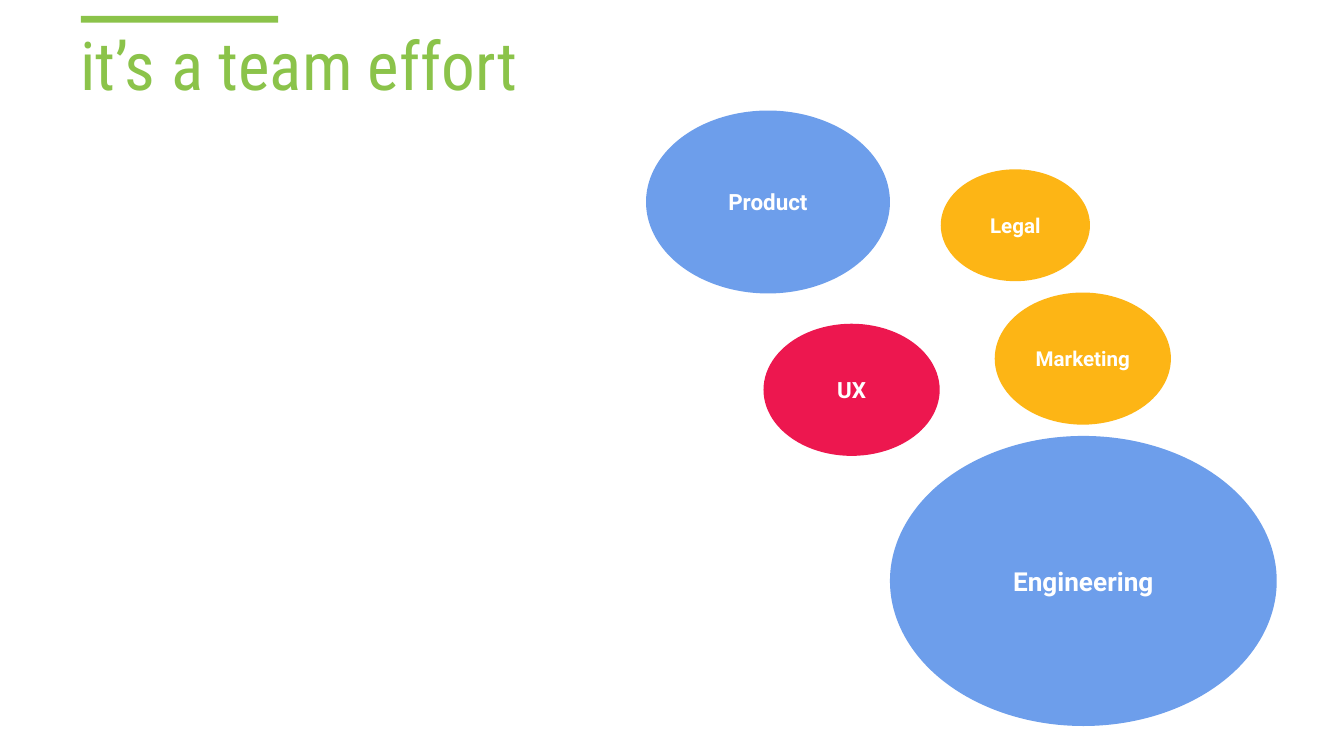
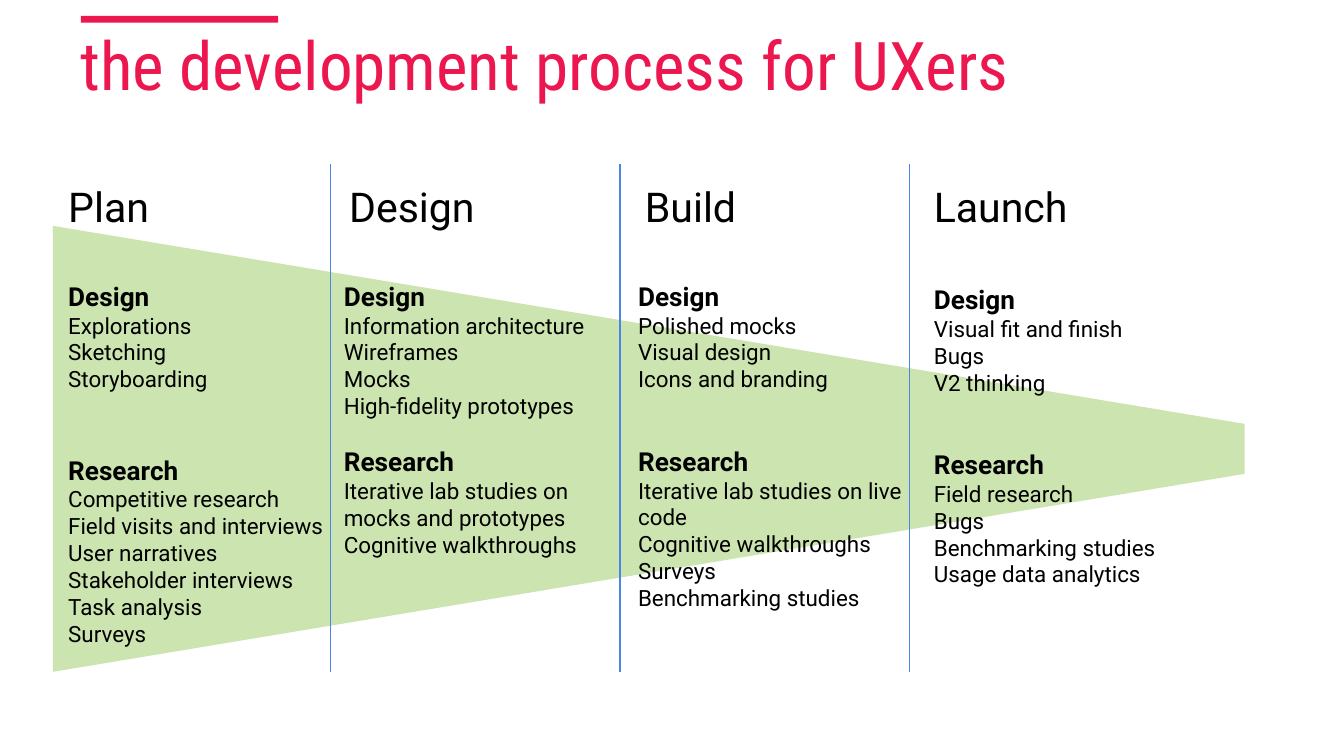
from dataclasses import dataclass

from lxml.etree import SubElement
from pptx import Presentation
from pptx.dml.color import RGBColor
from pptx.enum.shapes import MSO_CONNECTOR as Connector, MSO_SHAPE as Shape
from pptx.enum.text import MSO_ANCHOR as Anchor, PP_ALIGN as Align
from pptx.oxml.ns import qn
from pptx.util import Cm, Pt


@dataclass(frozen=True)
class Theme:
    green: str = "8BC34A"
    red: str = "ED174F"
    amber: str = "FDB515"
    blue: str = "6D9EEB"
    divider: str = "4A86E8"
    black: str = "000000"
    white: str = "FFFFFF"
    title_font: str = "Roboto Condensed"
    body_font: str = "Roboto"
    title_size: int = 36
    stage_size: int = 22
    topic_size: int = 14
    item_size: int = 12


THEME = Theme()

# Content: team, left, top and width in cm, colour, text size
TEAM_TITLE = "it’s a team effort"
TEAMS = [
    ("UX", 14.43, 6.12, 3.33, THEME.red, 12),
    ("Legal", 17.78, 3.2, 2.82, THEME.amber, 11),
    ("Product", 12.21, 2.09, 4.61, THEME.blue, 12),
    ("Engineering", 16.82, 8.24, 7.31, THEME.blue, 14),
    ("Marketing", 18.8, 5.53, 3.33, THEME.amber, 11),
]

# Content: lefts, top and width in cm, gap before Research in points
PROCESS_TITLE = "the development process for UXers"
STAGES = [
    dict(name="Plan", name_left=1.04, left=1.04, top=5.05, width=6.22, gap=33,
         design=["Explorations", "Sketching", "Storyboarding"],
         research=["Competitive research", "Field visits and interviews",
                   "User narratives", "Stakeholder interviews",
                   "Task analysis", "Surveys"]),
    dict(name="Design", name_left=6.35, left=6.25, top=5.05, width=5.69, gap=14.2,
         design=["Information architecture", "Wireframes", "Mocks",
                 "High-fidelity prototypes"],
         research=["Iterative lab studies on mocks and prototypes",
                   "Cognitive walkthroughs"]),
    dict(name="Build", name_left=11.94, left=11.81, top=5.05, width=6.22, gap=28.4,
         design=["Polished mocks", "Visual design", "Icons and branding"],
         research=["Iterative lab studies on live code",
                   "Cognitive walkthroughs", "Surveys",
                   "Benchmarking studies"]),
    dict(name="Launch", name_left=17.4, left=17.4, top=5.11, width=6.22, gap=28.4,
         design=["Visual fit and finish", "Bugs", "V2 thinking"],
         research=["Field research", "Bugs", "Benchmarking studies",
                   "Usage data analytics"]),
]


def rgb(colour):
    return RGBColor.from_string(colour)


def box(left, top, width, height):
    return [Cm(length) for length in (left, top, width, height)]


def set_frame(shape, anchor=Anchor.TOP):
    frame = shape.text_frame
    frame.word_wrap = True
    frame.vertical_anchor = anchor
    frame.margin_left = frame.margin_right = Cm(0.25)
    frame.margin_top = frame.margin_bottom = Cm(0.25)
    return frame


def write(paragraph, text, size, colour=THEME.black, bold=False, font=THEME.body_font):
    run = paragraph.add_run()
    run.text = text
    run.font.name = font
    run.font.size = Pt(size)
    run.font.bold = bold
    run.font.color.rgb = rgb(colour)


def add_filled(slide, kind, place, colour):
    shape = slide.shapes.add_shape(kind, *place)
    shape.shadow.inherit = False
    shape.fill.solid()
    shape.fill.fore_color.rgb = rgb(colour)
    shape.line.fill.background()
    return shape


def add_titled_slide(deck, title, colour):
    slide = deck.slides.add_slide(deck.slide_layouts[6])
    add_filled(slide, Shape.RECTANGLE, box(1.53, 0.3, 3.73, 0.13), colour)
    heading = slide.shapes.add_textbox(*box(1.27, 0.43, 22.86, 1.78))
    frame = set_frame(heading, Anchor.BOTTOM)
    write(frame.paragraphs[0], title, THEME.title_size, colour, font=THEME.title_font)
    return slide


def add_team(slide, team, left, top, width, colour, size):
    # Every bubble is four wide to three high
    bubble = add_filled(slide, Shape.OVAL, box(left, top, width, width * 0.75), colour)
    label = set_frame(bubble, Anchor.MIDDLE).paragraphs[0]
    label.alignment = Align.CENTER
    write(label, team, size, THEME.white, bold=True)


def add_funnel(slide, left, top, length, mouth):
    # A trapezoid turned a quarter, so its box is laid around the same centre
    shift = (length - mouth) / 2
    funnel = add_filled(slide, Shape.TRAPEZOID,
                        box(left + shift, top - shift, mouth, length), THEME.green)
    funnel.rotation = 90
    funnel.adjustments[0] = 0.444
    colour = funnel.fill._xPr.find(qn("a:solidFill"))[0]
    SubElement(colour, qn("a:alpha"), val="43000")


def add_divider(slide, x, top, bottom):
    divider = slide.shapes.add_connector(Connector.STRAIGHT, Cm(x), Cm(top), Cm(x), Cm(bottom))
    divider.line.color.rgb = rgb(THEME.divider)
    divider.line.width = Pt(0.75)
    SubElement(divider._element.spPr, qn("a:effectLst"))


def add_stage(slide, stage):
    name = slide.shapes.add_textbox(*box(stage["name_left"], 3.18, 4.2, 1.14))
    write(set_frame(name).paragraphs[0], stage["name"], THEME.stage_size)

    work = slide.shapes.add_textbox(*box(stage["left"], stage["top"], stage["width"], 1.93))
    frame = set_frame(work)
    topic = frame.paragraphs[0]
    write(topic, "Design", THEME.topic_size, bold=True)
    add_items(frame, stage["design"])
    topic = frame.add_paragraph()
    topic.space_before = Pt(stage["gap"])
    write(topic, "Research", THEME.topic_size, bold=True)
    add_items(frame, stage["research"])


def add_items(frame, items):
    for item in items:
        write(frame.add_paragraph(), item, THEME.item_size)


def main():
    deck = Presentation()
    deck.slide_width, deck.slide_height = Cm(25.4), Cm(14.29)

    # Teams as bubbles
    team_slide = add_titled_slide(deck, TEAM_TITLE, THEME.green)
    for team in TEAMS:
        add_team(team_slide, *team)

    # Stages over a narrowing funnel
    process_slide = add_titled_slide(deck, PROCESS_TITLE, THEME.red)
    add_funnel(process_slide, left=1, top=4.27, length=22.52, mouth=8.43)
    for index in range(len(STAGES) - 1):
        add_divider(process_slide, 6.25 + index * 5.47, 3.1, 12.7)
    for stage in STAGES:
        add_stage(process_slide, stage)

    deck.save("out.pptx")


if __name__ == "__main__":
    main()
